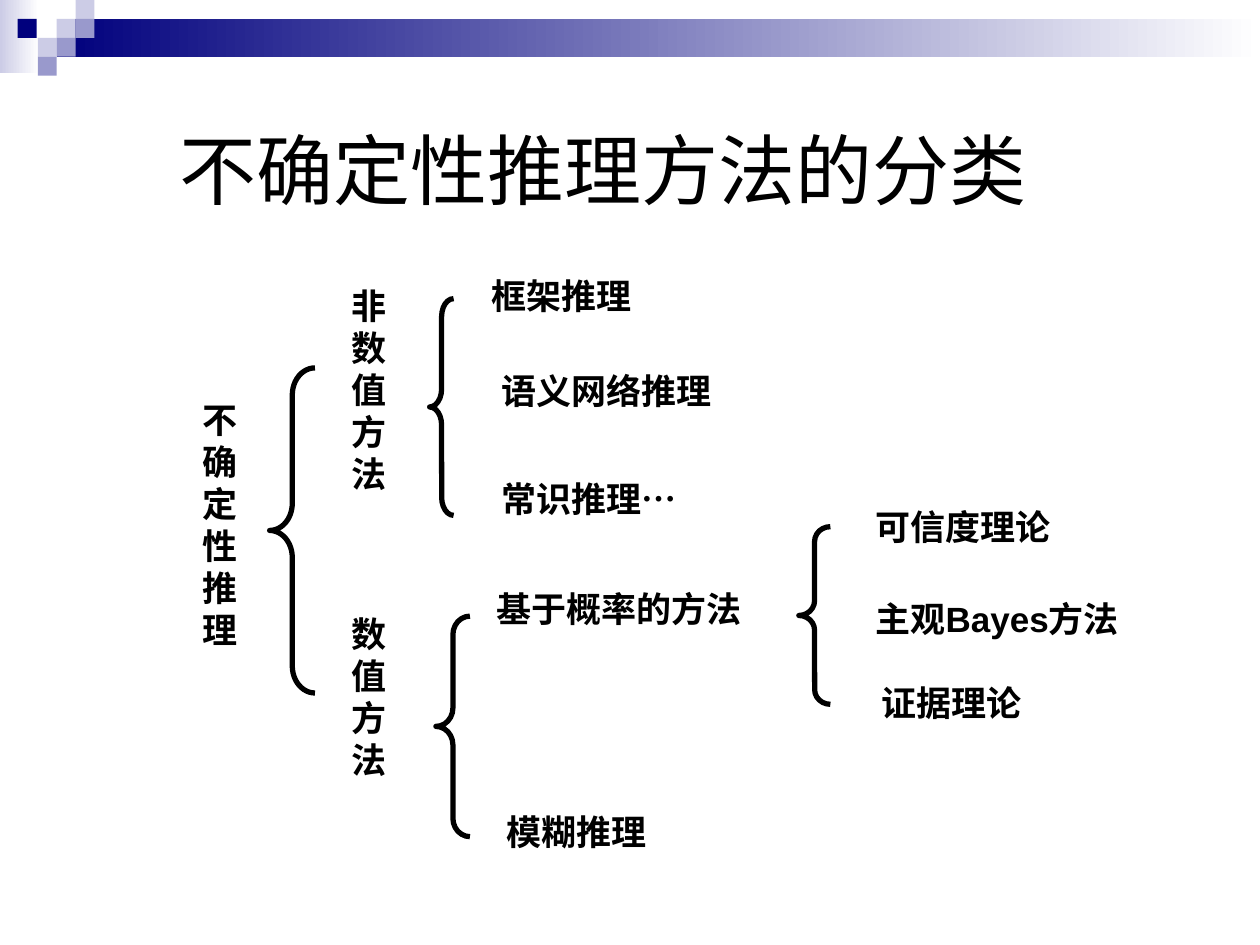
"""Build a slide that classifies the methods of uncertain reasoning."""
from lxml.etree import SubElement
from pptx import Presentation
from pptx.dml.color import RGBColor
from pptx.enum.shapes import MSO_SHAPE as Shape
from pptx.enum.text import MSO_ANCHOR as Anchor, PP_ALIGN as Align
from pptx.oxml.ns import qn
from pptx.util import Inches, Pt

BLACK = RGBColor(0x00, 0x00, 0x00)
WHITE = RGBColor(0xFF, 0xFF, 0xFF)
NAVY = RGBColor(0x00, 0x00, 0x7D)
LAVENDER = RGBColor(0xCC, 0xCC, 0xE6)
PERIWINKLE = RGBColor(0x99, 0x99, 0xCC)
LATIN, CJK, SERIF = "Arial", "Noto Sans CJK SC", "Times New Roman"

TITLE = ("不确定性推理方法的分类", 0.55, 0.86, 8.48, 0.95)
BANDS = [
    (LAVENDER, 0, 0, 0.31, 0.58),
    (NAVY, 0.45, 0.15, 9.55, 0.3),
]
TILE = 0.15
TILES = [
    (LAVENDER, 0.45, 0.15),
    (LAVENDER, 0.6, 0),
    (PERIWINKLE, 0.6, 0.15),
    (LAVENDER, 0.3, 0.3),
    (NAVY, 0.14, 0.15),
    (PERIWINKLE, 0.45, 0.3),
    (PERIWINKLE, 0.3, 0.45),
]
BRACES = [
    (2.14, 2.92, 0.36, 2.58),
    (3.41, 2.37, 0.19, 1.72),
    (3.46, 4.89, 0.27, 1.75),
    (6.34, 4.18, 0.25, 1.41),
]
METHODS = [
    ([("不确定性推理", LATIN)], 1.51, 3.11, 0.54, 2.16),
    ([("非数值方法", LATIN)], 2.69, 2.21, 0.51, 1.81),
    ([("数值方法", LATIN)], 2.69, 4.81, 0.54, 1.32),
    ([("框架推理", CJK)], 3.8, 2.13, 2.05, 0.44),
    ([("语义网络推理", CJK)], 3.88, 2.88, 2.16, 0.4),
    ([("常识推理", CJK), ("…", SERIF)], 3.88, 3.74, 2.05, 0.4),
    ([("基于概率的方法", LATIN)], 3.84, 4.61, 2.33, 0.47),
    ([("模糊推理", LATIN)], 3.92, 6.38, 1.67, 0.41),
    ([("可信度理论", LATIN)], 6.85, 3.96, 2.04, 0.43),
    ([("主观Bayes方法", LATIN)], 6.85, 4.69, 2.29, 0.4),
    ([("证据理论", LATIN)], 6.9, 5.36, 1.61, 0.47),
]
TITLE_FORMAT = {"size": Pt(44), "bold": False}
METHOD_FORMAT = {"size": Pt(20), "bold": True}


def add_outline(slide, kind, box):
    shape = slide.shapes.add_shape(kind, *map(Inches, box))
    shape.shadow.inherit = False
    return shape


def add_band(slide, color, *box):
    band = add_outline(slide, Shape.RECTANGLE, box)
    band.line.fill.background()
    band.fill.gradient()
    band.fill.gradient_angle = 0
    for stop, stop_color in zip(band.fill.gradient_stops, (color, WHITE)):
        stop.color.rgb = stop_color


def add_tile(slide, color, left, top):
    tile = add_outline(slide, Shape.RECTANGLE, (left, top, TILE, TILE))
    tile.line.fill.background()
    tile.fill.solid()
    tile.fill.fore_color.rgb = color


def add_brace(slide, left, top, width, height):
    brace = add_outline(slide, Shape.LEFT_BRACE, (left, top, width, height))
    brace.adjustments[0] = height / 12 / width
    brace.fill.background()
    brace.line.color.rgb = BLACK
    brace.line.width = Pt(3)


def add_label(slide, parts, box, font_format, align, anchor=Anchor.TOP):
    frame = slide.shapes.add_textbox(*map(Inches, box)).text_frame
    frame.word_wrap = True
    frame.vertical_anchor = anchor
    paragraph = frame.paragraphs[0]
    paragraph.alignment = align
    for words, typeface in parts:
        run = paragraph.add_run()
        run.text = words
        for key, value in {**font_format, "name": typeface}.items():
            setattr(run.font, key, value)
        run.font.color.rgb = BLACK
        SubElement(run.font._element, qn("a:ea"), typeface=CJK)


def main():
    deck = Presentation()
    deck.slide_width, deck.slide_height = Inches(10), Inches(7.5)
    slide = deck.slides.add_slide(deck.slide_layouts[6])
    for band in BANDS:
        add_band(slide, *band)
    for tile in TILES:
        add_tile(slide, *tile)
    for brace in BRACES:
        add_brace(slide, *brace)
    for parts, *box in METHODS:
        add_label(slide, parts, box, METHOD_FORMAT, Align.JUSTIFY)
    heading, *box = TITLE
    add_label(slide, [(heading, LATIN)], box, TITLE_FORMAT, Align.CENTER, Anchor.MIDDLE)
    deck.save("out.pptx")


if __name__ == "__main__":
    main()
